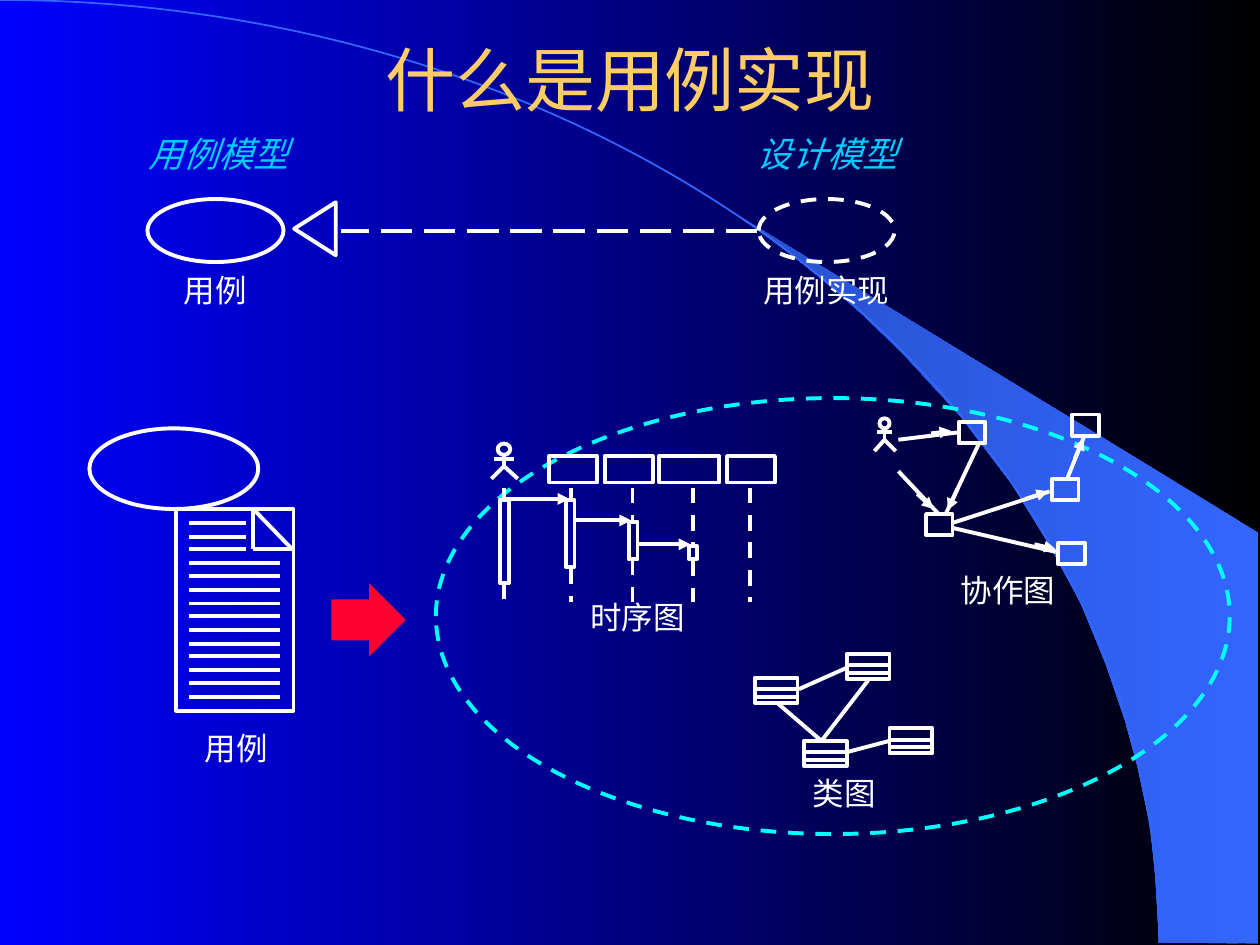
from dataclasses import dataclass
from typing import Any

from lxml.etree import SubElement
from pptx import Presentation
from pptx.dml.color import RGBColor
from pptx.enum.dml import MSO_LINE as Dash
from pptx.enum.shapes import MSO_CONNECTOR, MSO_SHAPE as Preset
from pptx.enum.text import MSO_ANCHOR, MSO_AUTO_SIZE as AutoSize, PP_ALIGN
from pptx.oxml.ns import qn
from pptx.util import Pt

PX = 9144
WHITE, SKY, CYAN, GOLD = "FFFFFF", "00CCFF", "00FFFF", "FFCC66"
RED, SWOOSH, SWOOSH_DARK = "FF0033", "3366FF", "2851CC"


def rgb(value):
    return RGBColor.from_string(value)


def set_gradient(fill, first, last):
    fill.gradient()
    fill.gradient_angle = 180
    for stop, color in zip(fill.gradient_stops, (first, last)):
        stop.color.rgb = rgb(color)


def set_line(line, color=WHITE, width=2.25, dash=None):
    line.color.rgb = rgb(color)
    line.width = Pt(width)
    if dash:
        line.dash_style = dash


def write(frame, text, size, color, italic=False):
    paragraph = frame.paragraphs[0]
    paragraph.alignment = PP_ALIGN.CENTER
    run = paragraph.add_run()
    run.text = text
    run.font.name = "Arial"
    run.font.size = Pt(size)
    run.font.italic = italic
    run.font.color.rgb = rgb(color)


@dataclass
class Region:
    shapes: Any
    x: int
    y: int

    def outline(self, preset, x, y, w, h, **style):
        shape = self.shapes.add_shape(
            preset, (self.x + x) * PX, (self.y + y) * PX, w * PX, h * PX)
        shape.shadow.inherit = False
        shape.fill.background()
        set_line(shape.line, **style)
        return shape

    def path_through(self, points, close=False):
        start, *rest = points
        builder = self.shapes.build_freeform(*start, scale=PX)
        builder.add_line_segments(rest, close=close)
        shape = builder.convert_to_shape(self.x * PX, self.y * PX)
        shape.shadow.inherit = False
        shape.fill.background()
        set_line(shape.line)
        return shape

    def link(self, x1, y1, x2, y2, arrow=False, **style):
        connector = self.shapes.add_connector(
            MSO_CONNECTOR.STRAIGHT, (self.x + x1) * PX, (self.y + y1) * PX,
            (self.x + x2) * PX, (self.y + y2) * PX)
        set_line(connector.line, **style)
        properties = connector.element.spPr
        if arrow:
            SubElement(properties.find(qn("a:ln")), qn("a:tailEnd"), type="triangle")
        SubElement(properties, qn("a:effectLst"))

    def label(self, text, x, y, w, h=40, size=18, color=WHITE, italic=False, wrap=True):
        box = self.shapes.add_textbox(
            (self.x + x) * PX, (self.y + y) * PX, w * PX, h * PX)
        box.text_frame.word_wrap = wrap
        box.text_frame.auto_size = AutoSize.SHAPE_TO_FIT_TEXT
        write(box.text_frame, text, size, color, italic)


def grouped(slide, x, y):
    return Region(slide.shapes.add_group_shape().shapes, x, y)


def draw_backdrop(slide):
    set_gradient(slide.background.fill, "000000", "0000FF")
    page = Region(slide.shapes, 0, 0)
    swoosh = page.path_through([
        (920, 748), (999, 749), (999, 423), (589, 173), (624, 199), (653, 222),
        (685, 250), (716, 280), (762, 330), (803, 384), (832, 431), (858, 479),
        (878, 528), (893, 572), (903, 609), (913, 656), (917, 696)], close=True)
    set_gradient(swoosh.fill, SWOOSH, SWOOSH_DARK)
    swoosh.line.fill.background()
    page.outline(Preset.ARC, -920, 0, 1840, 1497, color=SWOOSH, width=1)


def draw_title(slide, x, y, w, h):
    title = slide.shapes.title
    title.left, title.top, title.width, title.height = (v * PX for v in (x, y, w, h))
    title.text_frame.auto_size = AutoSize.NONE
    title.text_frame.vertical_anchor = MSO_ANCHOR.MIDDLE
    write(title.text_frame, "什么是用例实现", 40, GOLD)
    title.element.getparent().append(title.element)


def draw_actor(region, x, y, w, h):
    middle = x + w // 2
    neck, arms, hips = (y + round(h * part) for part in (0.33, 0.42, 0.65))
    head, reach = round(w * 0.47), round(w * 0.38)
    region.outline(Preset.OVAL, middle - head // 2, y, head, round(h * 0.32))
    region.link(middle, neck, middle, hips)
    region.link(middle - reach, arms, middle + reach, arms)
    region.path_through([(x, y + h), (middle, hips), (x + w, y + h)])


def draw_class_diagram(slide, x, y):
    diagram = grouped(slide, x, y)
    for left, top in ((0, 19), (73, 0), (39, 69), (107, 59)):
        diagram.outline(Preset.RECTANGLE, left, top, 34, 20)
        for divider in (9, 15):
            diagram.link(left, top + divider, left + 34, top + divider)
    for ends in ((53, 69, 18, 39), (35, 28, 73, 11), (73, 78, 107, 69), (53, 69, 90, 21)):
        diagram.link(*ends)
    diagram.label("类图", 36, 90, 70, wrap=False)


def draw_use_case_document(slide, x, y):
    document = grouped(slide, x, y)
    document.outline(Preset.OVAL, 0, 0, 134, 64)
    document.outline(Preset.RECTANGLE, 69, 64, 93, 160)
    for fold in ((130, 64, 161, 96), (130, 64, 130, 96), (161, 96, 130, 96)):
        document.link(*fold)
    for row in range(14):
        height = 75 + round(row * 138 / 13)
        document.link(79, height, 124 if row < 3 else 151, height)
    document.label("用例", 32, 234, 169)


def draw_collaboration_diagram(slide, x, y):
    diagram = grouped(slide, x, y)
    draw_actor(diagram, 0, 3, 17, 26)
    for ends in ((19, 45, 51, 79), (19, 20, 68, 14), (62, 90, 144, 109),
                 (62, 86, 139, 61), (153, 51, 167, 16), (83, 23, 57, 78)):
        diagram.link(*ends)
    for ends in ((34, 63, 47, 75), (66, 59, 58, 76), (120, 67, 138, 61),
                 (127, 103, 144, 107), (159, 35, 166, 19), (45, 15, 61, 13)):
        diagram.link(*ends, arrow=True)
    for left, top in ((67, 6), (41, 79), (146, 102), (141, 51), (157, 0)):
        diagram.outline(Preset.RECTANGLE, left, top, 21, 17)
    diagram.label("协作图", -35, 119, 282)


def draw_sequence_diagram(slide, x, y):
    diagram = grouped(slide, x, y)
    diagram.label("时序图", -8, 118, 248)
    draw_actor(diagram, 0, 0, 21, 28)
    for ends in ((9, 44, 62, 44), (117, 80, 158, 80), (66, 61, 111, 61)):
        diagram.link(*ends, arrow=True)
    lifelines = {10: ((35, 45), (111, 127)), 63: ((35, 45), (99, 126)),
                 112: ((35, 62), (92, 126)), 160: ((35, 81), (93, 126)),
                 205: ((35, 126),)}
    for center, segments in lifelines.items():
        for top, bottom in segments:
            diagram.link(center, top, center, bottom, dash=Dash.DASH)
    for left, top, w, h in ((7, 45, 7, 66), (59, 45, 7, 53), (109, 62, 7, 30), (157, 81, 6, 11)):
        diagram.outline(Preset.RECTANGLE, left, top, w, h)
    for left, w in ((46, 38), (90, 38), (133, 48), (187, 38)):
        diagram.outline(Preset.RECTANGLE, left, 10, w, 21)


def draw_case(slide, x, y, text, text_width, dash=None):
    case = grouped(slide, x, y)
    case.outline(Preset.OVAL, 0, 0, 108, 50, dash=dash)
    case.label(text, 54 - text_width // 2, 52, text_width, wrap=False)


def draw_realization(slide, x, y):
    row = Region(slide.shapes, x, y)
    for text, left, w in (("用例模型", 0, 197), ("设计模型", 478, 207)):
        row.label(text, left, 0, w, 44, 20, SKY, italic=True)
    draw_case(slide, x + 42, y + 58, "用例", 70)
    draw_case(slide, x + 527, y + 58, "用例实现", 120, Dash.DASH)
    row.link(526, 83, 196, 83, dash=Dash.LONG_DASH)
    row.outline(Preset.ISOSCELES_TRIANGLE, 154, 65, 42, 33).rotation = 270


def draw_expansion(slide, x, y):
    area = Region(slide.shapes, x, y)
    area.outline(Preset.OVAL, 83, 0, 630, 346, color=CYAN, dash=Dash.DASH)
    arrow = area.outline(Preset.RIGHT_ARROW, 0, 147, 59, 58)
    arrow.adjustments[0], arrow.adjustments[1] = 0.56, 0.5
    arrow.fill.solid()
    arrow.fill.fore_color.rgb = rgb(RED)
    arrow.line.fill.background()


def main():
    deck = Presentation()
    deck.slide_width, deck.slide_height = 1000 * PX, 750 * PX
    slide = deck.slides.add_slide(deck.slide_layouts[5])
    draw_backdrop(slide)
    draw_title(slide, 75, 36, 850, 52)
    draw_expansion(slide, 263, 316)
    draw_class_diagram(slide, 599, 519)
    draw_use_case_document(slide, 71, 340)
    draw_collaboration_diagram(slide, 694, 329)
    draw_realization(slide, 75, 100)
    draw_sequence_diagram(slide, 390, 352)
    deck.save("out.pptx")


if __name__ == "__main__":
    main()
